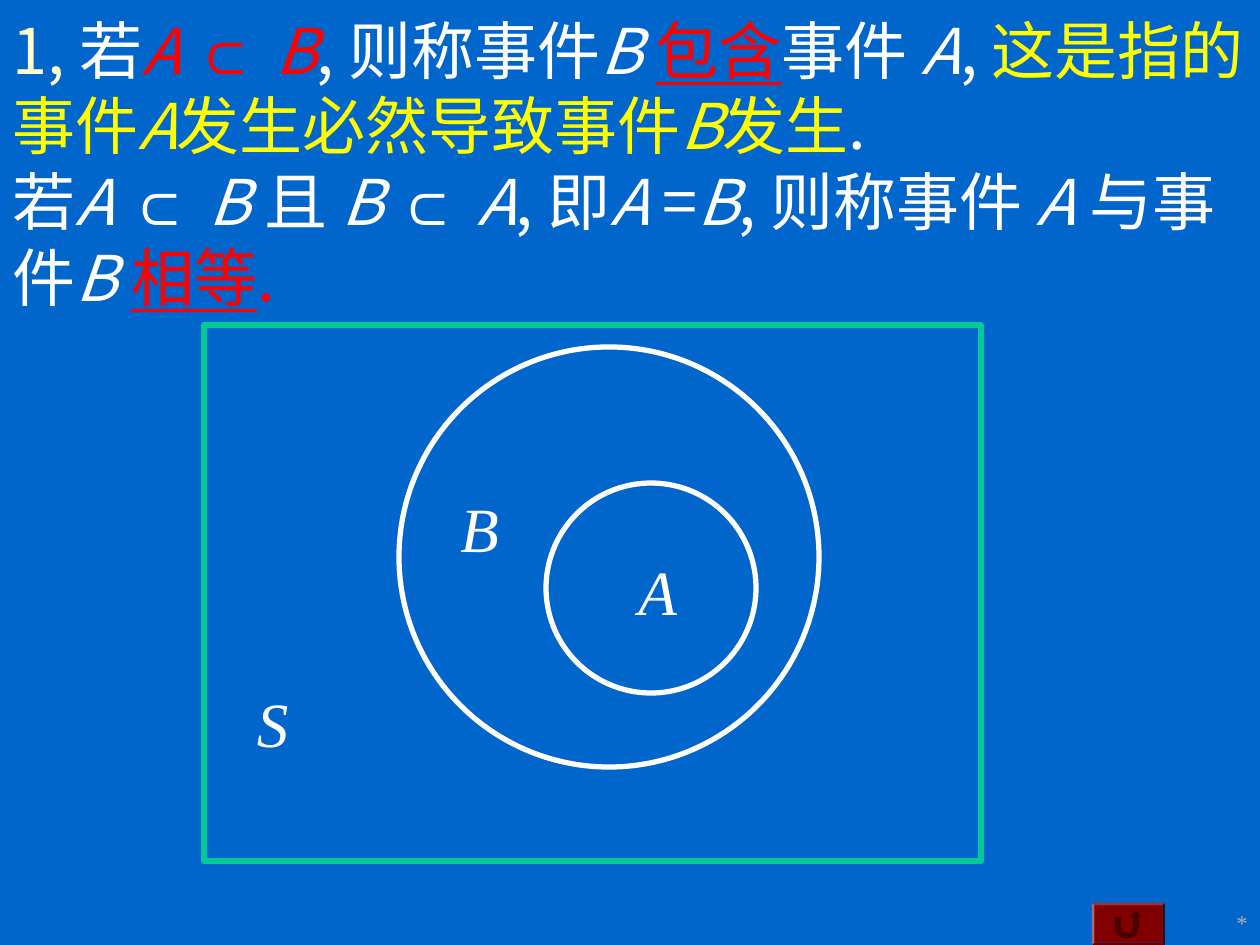
from dataclasses import dataclass
from math import cos, pi, sin
from typing import NamedTuple

from lxml.etree import SubElement
from pptx import Presentation
from pptx.dml.color import RGBColor
from pptx.enum.shapes import MSO_SHAPE
from pptx.enum.text import MSO_ANCHOR, MSO_AUTO_SIZE, PP_ALIGN
from pptx.oxml.ns import qn
from pptx.util import Emu, Pt


@dataclass(frozen=True)
class Theme:
    background: str = "0066CC"
    white: str = "FFFFFF"
    cream: str = "FFFFCC"
    red: str = "FF0000"
    yellow: str = "FFFF00"
    green: str = "00CC99"
    grey: str = "B2B2B2"
    button: str = "800000"
    button_arrow: str = "4D0000"
    chinese: str = "Noto Sans CJK SC"
    symbol: str = "Arial"
    serif: str = "Times New Roman"
    text_size: float = 36
    line_spacing: float = 43.2
    number_size: float = 12.9
    outline: float = 3


class Box(NamedTuple):
    left: int
    top: int
    width: int
    height: int


class Piece(NamedTuple):
    text: str
    color: str
    style: str = ""  # i = italic, u = underlined, s = symbol font


class Outline(NamedTuple):
    kind: MSO_SHAPE
    box: Box
    color: str


class Label(NamedTuple):
    text: str
    box: Box


THEME = Theme()
EMU_PER_PX = 914400 / 126
WHITE, RED, YELLOW = THEME.white, THEME.red, THEME.yellow

# Each inner tuple is one line-broken block of the title
DEFINITIONS = (
    (
        Piece("1, ", THEME.cream), Piece("若", WHITE),
        Piece("A ", RED, "i"), Piece("⊂ ", RED, "s"), Piece("B", RED, "i"),
        Piece(", 则称事件", WHITE), Piece("B ", WHITE, "i"),
        Piece("包含", RED, "u"), Piece("事件 ", WHITE),
        Piece("A", WHITE, "i"), Piece(", ", WHITE),
        Piece("这是指的事件", YELLOW), Piece("A", YELLOW, "i"),
        Piece("发生必然导致事件", YELLOW), Piece("B", YELLOW, "i"),
        Piece("发生", YELLOW), Piece(".", WHITE),
    ),
    (
        Piece("若", WHITE), Piece("A ", WHITE, "i"), Piece("⊂ ", WHITE, "s"),
        Piece("B ", WHITE, "i"), Piece("且 ", WHITE), Piece("B ", WHITE, "i"),
        Piece("⊂ ", WHITE, "s"), Piece("A", WHITE, "i"), Piece(", 即", WHITE),
        Piece("A ", WHITE, "i"), Piece("=", WHITE), Piece("B", WHITE, "i"),
        Piece(", 则称事件 ", WHITE), Piece("A ", WHITE, "i"),
        Piece("与事件", WHITE), Piece("B ", WHITE, "i"),
        Piece("相等", RED, "u"), Piece(".", RED),
    ),
)

OUTLINES = (
    Outline(MSO_SHAPE.RECTANGLE, Box(204, 325, 777, 536), THEME.green),
    Outline(MSO_SHAPE.OVAL, Box(399, 347, 420, 420), WHITE),
    Outline(MSO_SHAPE.OVAL, Box(546, 483, 210, 210), WHITE),
)
LABELS = (
    Label("S", Box(244, 678, 57, 88)),
    Label("B", Box(448, 483, 63, 88)),
    Label("A", Box(626, 546, 63, 88)),
)


def px(value: float) -> Emu:
    return Emu(round(value * EMU_PER_PX))


def emu_box(box: Box) -> list[Emu]:
    return [px(value) for value in box]


def apply_format(target, values: dict) -> None:
    for name, value in values.items():
        setattr(target, name, value)


def add_run(paragraph, text: str, color: str, values: dict) -> None:
    run = paragraph.add_run()
    run.text = text
    run.font.color.rgb = RGBColor.from_string(color)
    apply_format(run.font, values)
    east_asian = SubElement(run.font._element, qn("a:ea"))
    east_asian.set("typeface", THEME.chinese)


def write_title(title) -> None:
    apply_format(title, dict(zip(("left", "top", "width", "height"),
                                 emu_box(Box(0, 0, 1260, 325)))))
    apply_format(title.text_frame, {
        "word_wrap": True,
        "auto_size": MSO_AUTO_SIZE.NONE,
        "vertical_anchor": MSO_ANCHOR.MIDDLE,
    })
    paragraph = title.text_frame.paragraphs[0]
    apply_format(paragraph, {"alignment": PP_ALIGN.LEFT,
                             "line_spacing": Pt(THEME.line_spacing)})
    for index, block in enumerate(DEFINITIONS):
        if index:
            paragraph.add_line_break()
        for piece in block:
            add_run(paragraph, piece.text, piece.color, {
                "name": THEME.symbol if "s" in piece.style else THEME.chinese,
                "size": Pt(THEME.text_size),
                "italic": "i" in piece.style,
                "underline": "u" in piece.style,
                "bold": False,
            })


def add_outline(slide, outline: Outline) -> None:
    shape = slide.shapes.add_shape(outline.kind, *emu_box(outline.box))
    shape.shadow.inherit = False
    shape.fill.background()
    shape.line.color.rgb = RGBColor.from_string(outline.color)
    shape.line.width = Pt(THEME.outline)


def add_text(slide, label: Label, color: str, size: float,
             alignment: PP_ALIGN, italic: bool, wrap: bool) -> None:
    shape = slide.shapes.add_textbox(*emu_box(label.box))
    shape.text_frame.word_wrap = wrap
    paragraph = shape.text_frame.paragraphs[0]
    paragraph.alignment = alignment
    add_run(paragraph, label.text, color,
            {"name": THEME.serif, "size": Pt(size), "italic": italic})


def fill_plain(shape, color: str) -> None:
    shape.shadow.inherit = False
    shape.fill.solid()
    shape.fill.fore_color.rgb = RGBColor.from_string(color)
    shape.line.fill.background()


def arc(radius: int, start: float, end: float) -> list[tuple[float, float]]:
    angles = [start + (end - start) * step / 12 for step in range(13)]
    return [(1127 + radius * cos(angle), 927 + radius * sin(angle))
            for angle in angles]


def add_return_button(slide) -> None:
    button = slide.shapes.add_shape(MSO_SHAPE.BEVEL,
                                    *emu_box(Box(1092, 903, 73, 42)))
    button.adjustments[0] = 0.06
    fill_plain(button, THEME.button)
    head = [(1133, 917), (1129, 917), (1136, 911), (1143, 917), (1139, 917)]
    points = [(1115, 917), (1121, 917), *arc(6, pi, 0), *head, *arc(12, 0, pi)]
    corners = [(px(x), px(y)) for x, y in points]
    builder = slide.shapes.build_freeform(*corners[0])
    builder.add_line_segments(corners[1:], close=True)
    fill_plain(builder.convert_to_shape(), THEME.button_arrow)


def main() -> None:
    presentation = Presentation()
    presentation.slide_width, presentation.slide_height = px(1260), px(945)
    slide = presentation.slides.add_slide(presentation.slide_layouts[5])
    slide.background.fill.solid()
    slide.background.fill.fore_color.rgb = RGBColor.from_string(THEME.background)

    # Footer: return button and number mark
    add_return_button(slide)
    add_text(slide, Label("*", Box(1176, 903, 84, 42)), THEME.grey,
             THEME.number_size, PP_ALIGN.RIGHT, italic=False, wrap=True)

    # Definitions
    write_title(slide.shapes.title)

    # Venn diagram
    for outline in OUTLINES:
        add_outline(slide, outline)
    for label in LABELS:
        add_text(slide, label, WHITE, THEME.text_size, PP_ALIGN.CENTER,
                 italic=True, wrap=False)

    presentation.save("out.pptx")


if __name__ == "__main__":
    main()
